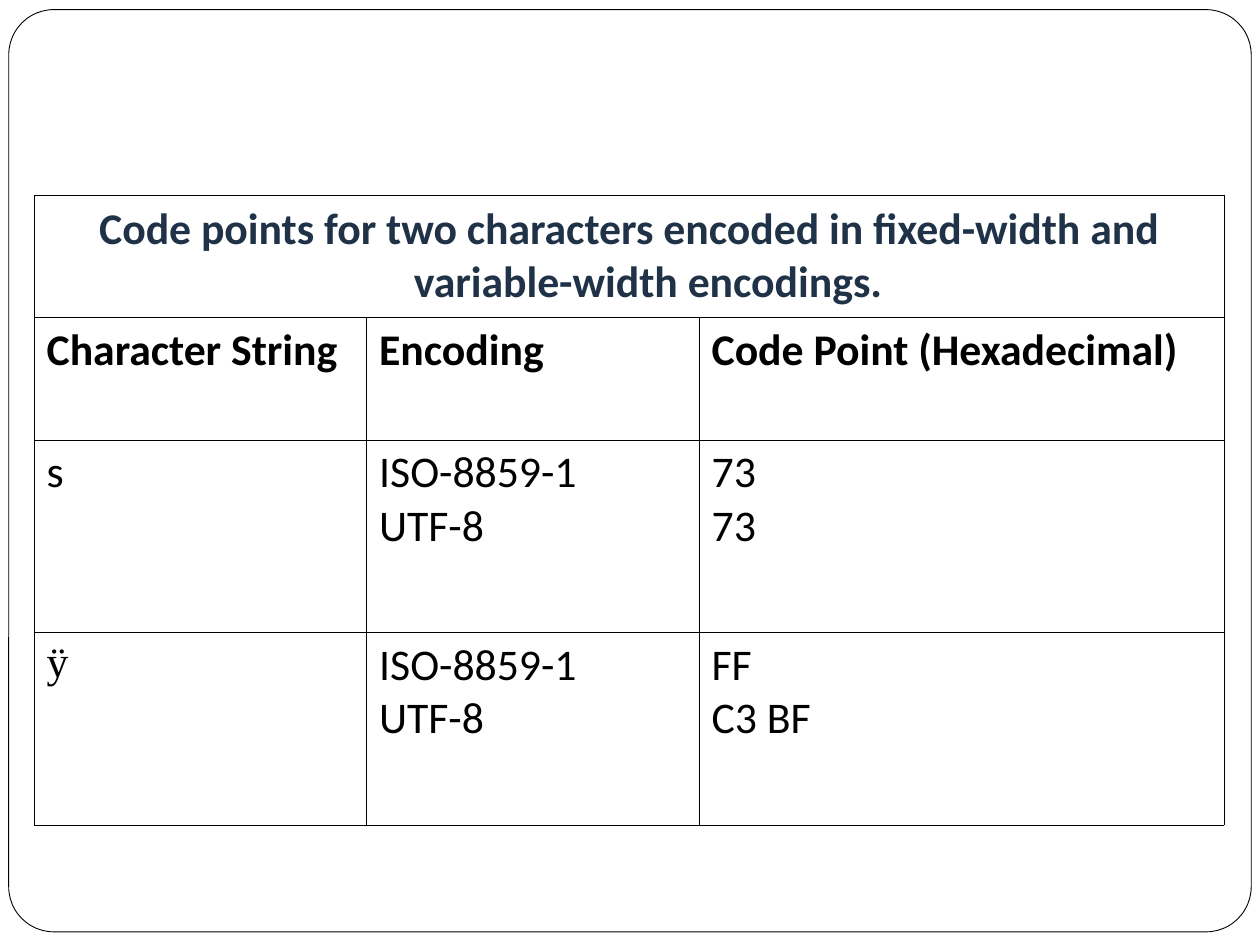
from dataclasses import dataclass

from lxml import etree
from pptx import Presentation
from pptx.dml.color import RGBColor
from pptx.enum.shapes import MSO_SHAPE
from pptx.enum.text import MSO_ANCHOR, PP_ALIGN
from pptx.oxml.ns import qn
from pptx.util import Pt

ROUND = MSO_SHAPE.ROUNDED_RECTANGLE
MIDDLE, TOP = MSO_ANCHOR.MIDDLE, MSO_ANCHOR.TOP
CENTER, LEFT = PP_ALIGN.CENTER, PP_ALIGN.LEFT
COLORS = {"ink": "000000", "title": "1F3247", "paper": "FFFFFF"}
WIDTHS = (190, 190, 300)
INDENT = 21.6


@dataclass
class Entry:
    text: str
    bold: bool = False
    color: str = "ink"
    font: str = "Calibri"
    align: PP_ALIGN = LEFT
    anchor: MSO_ANCHOR = TOP


@dataclass
class Row:
    height: float
    cells: list[Entry]


ROWS = [
    Row(70, [Entry("Code points for two characters encoded in fixed-width and "
                   "variable-width encodings.", True, "title", align=CENTER, anchor=MIDDLE)]),
    Row(70, [Entry(text, True) for text in
             ("Character String", "Encoding", "Code Point (Hexadecimal)")]),
    Row(110, [Entry("s"), Entry("ISO-8859-1\nUTF-8"), Entry("73\n73")]),
    Row(110, [Entry("ÿ", font="Times New Roman"), Entry("ISO-8859-1\nUTF-8"),
              Entry("FF\nC3 BF")]),
]


def color(name: str) -> RGBColor:
    return RGBColor.from_string(COLORS[name])


def draw_frame(slide) -> None:
    frame = slide.shapes.add_shape(ROUND, Pt(5), Pt(5.5), Pt(710), Pt(527))
    frame.adjustments[0] = 0.049
    frame.shadow.inherit = False
    frame.fill.solid()
    frame.fill.fore_color.rgb = color("paper")
    frame.line.color.rgb = color("ink")
    frame.line.width = Pt(0.5)


def draw_edges(cell) -> None:
    props = cell._tc.get_or_add_tcPr()
    for side in ("L", "R", "T", "B"):
        edge = etree.SubElement(props, qn(f"a:ln{side}"), w=str(Pt(0.34)))
        fill = etree.SubElement(edge, qn("a:solidFill"))
        etree.SubElement(fill, qn("a:srgbClr"), val=COLORS["ink"])
    cell.fill.background()


def write_cell(cell, entry: Entry) -> None:
    cell.text_frame.text = entry.text
    cell.vertical_anchor = entry.anchor
    for para in cell.text_frame.paragraphs:
        para.alignment = entry.align
        props = para._p.get_or_add_pPr()
        props.set("marL", str(Pt(INDENT)))
        props.set("indent", str(Pt(-INDENT)))
        for run in para.runs:
            run.font.name = entry.font
            run.font.size = Pt(25)
            run.font.bold = entry.bold
            run.font.color.rgb = color(entry.color)


def draw_table(slide, rows: list[Row]) -> None:
    high = sum(row.height for row in rows)
    table = slide.shapes.add_table(len(rows), len(WIDTHS), Pt(19.5), Pt(111.5),
                                   Pt(sum(WIDTHS)), Pt(high)).table
    table.first_row = table.horz_banding = False
    for column, width in zip(table.columns, WIDTHS):
        column.width = Pt(width)
    table.cell(0, 0).merge(table.cell(0, len(WIDTHS) - 1))
    for cell in table.iter_cells():
        draw_edges(cell)
    for line, row in zip(table.rows, rows):
        line.height = Pt(row.height)
        for cell, entry in zip(line.cells, row.cells):
            write_cell(cell, entry)


def main() -> None:
    """Build the slide with the table of code points."""
    deck = Presentation()
    deck.slide_width, deck.slide_height = Pt(720), Pt(540)
    slide = deck.slides.add_slide(deck.slide_layouts[6])
    draw_frame(slide)
    draw_table(slide, ROWS)
    deck.save("out.pptx")


if __name__ == "__main__":
    main()
